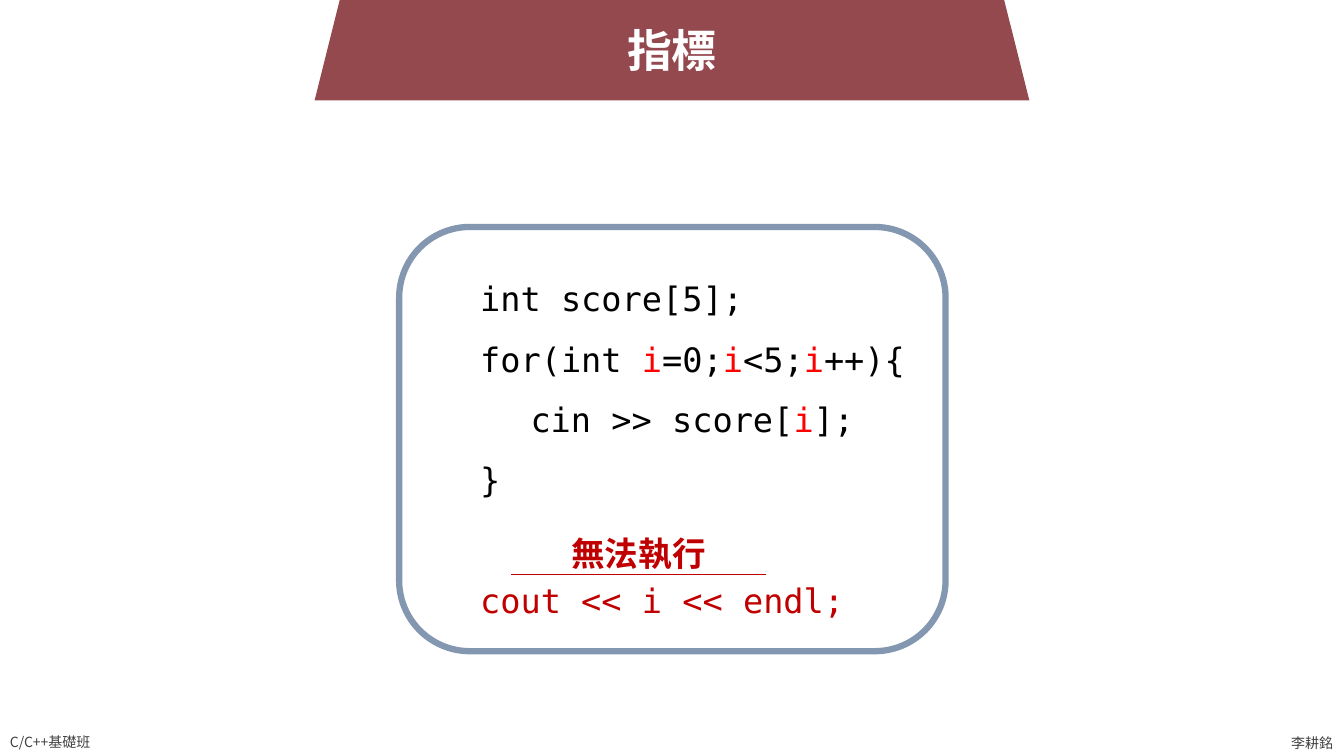
import dataclasses

import lxml.etree
import pptx
import pptx.dml.color
import pptx.enum.shapes
import pptx.enum.text
import pptx.oxml.ns
import pptx.util

Cm = pptx.util.Cm
Pt = pptx.util.Pt
Shapes = pptx.enum.shapes.MSO_SHAPE
Align = pptx.enum.text.PP_ALIGN
Anchor = pptx.enum.text.MSO_ANCHOR


@dataclasses.dataclass(frozen=True)
class Theme:
    text_font: str = "Noto Sans CJK TC"
    code_font: str = "DejaVu Sans Mono"
    title_size: int = 32
    code_size: int = 24
    footer_size: int = 10
    banner: str = "94494E"
    frame: str = "8497B0"
    white: str = "FFFFFF"
    black: str = "000000"
    footer: str = "404040"
    variable: str = "FF0000"
    error: str = "C00000"


def rgb(color):
    return pptx.dml.color.RGBColor.from_string(color)


class SlideBuilder:
    def __init__(self, slide, theme):
        self.slide = slide
        self.theme = theme

    def run(self, paragraph, text, size, color, font, bold=False):
        run = paragraph.add_run()
        run.text = text
        run.font.size = Pt(size)
        run.font.bold = bold
        run.font.name = font
        run.font.color.rgb = rgb(color)
        properties = run._r.get_or_add_rPr()
        east_asian = lxml.etree.SubElement(properties, pptx.oxml.ns.qn("a:ea"))
        east_asian.set("typeface", font)

    def text(self, box, text, size, color, bold=False, align=Align.LEFT,
             anchor=Anchor.TOP, wrap=False):
        shape = self.slide.shapes.add_textbox(*map(Cm, box))
        frame = shape.text_frame
        frame.word_wrap = wrap
        frame.vertical_anchor = anchor
        paragraph = frame.paragraphs[0]
        paragraph.alignment = align
        self.run(paragraph, text, size, color, self.theme.text_font, bold)

    def shape(self, kind, box, fill, line=None, width=0):
        shape = self.slide.shapes.add_shape(kind, *map(Cm, box))
        shape.shadow.inherit = False
        shape.fill.solid()
        shape.fill.fore_color.rgb = rgb(fill)
        if line:
            shape.line.color.rgb = rgb(line)
            shape.line.width = Pt(width)
        else:
            shape.line.fill.background()
        return shape

    def code(self, shape, lines):
        frame = shape.text_frame
        frame.word_wrap = True
        frame.vertical_anchor = Anchor.MIDDLE
        for number, (gap, runs) in enumerate(lines):
            paragraph = frame.add_paragraph() if number else frame.paragraphs[0]
            paragraph.alignment = Align.LEFT
            paragraph.line_spacing = 1.5
            paragraph.space_before = Pt(gap)
            properties = paragraph._p.get_or_add_pPr()
            properties.set("marL", str(Cm(1.27)))
            properties.set("indent", "0")
            for text, color in runs:
                self.run(paragraph, text, self.theme.code_size, color,
                         self.theme.code_font)

    def line(self, start, end, color, width):
        connector = self.slide.shapes.add_connector(
            pptx.enum.shapes.MSO_CONNECTOR.STRAIGHT, *map(Cm, start + end))
        connector.line.color.rgb = rgb(color)
        connector.line.width = Pt(width)
        lxml.etree.SubElement(connector._element.spPr,
                              pptx.oxml.ns.qn("a:effectLst"))


def main():
    presentation = pptx.Presentation()
    presentation.slide_width = Cm(33.87)
    presentation.slide_height = Cm(19.05)
    slide = presentation.slides.add_slide(presentation.slide_layouts[6])
    theme = Theme()
    builder = SlideBuilder(slide, theme)

    builder.text((0, 18.37, 2.72, 0.68), "C/C++基礎班",
                 theme.footer_size, theme.footer)
    builder.text((32.29, 18.37, 1.58, 0.68), "李耕銘",
                 theme.footer_size, theme.footer, anchor=Anchor.MIDDLE)

    builder.shape(Shapes.TRAPEZOID, (7.93, -0.58, 18.01, 3.11), theme.banner)
    builder.text((15.54, 0.46, 2.79, 1.62), "指標", theme.title_size,
                 theme.white, bold=True, align=Align.CENTER)

    frame = builder.shape(Shapes.ROUNDED_RECTANGLE, (10.06, 5.72, 13.77, 10.69),
                          theme.white, theme.frame, 4.5)
    plain, variable = theme.black, ("i", theme.variable)
    builder.code(frame, [
        (0, [("int score[5];", plain)]),
        (0, [("for(int ", plain), variable, ("=0;", plain), variable,
             ("<5;", plain), variable, ("++){", plain)]),
        (0, [("\tcin >> score[", plain), variable, ("];", plain)]),
        (0, [("}", plain)]),
        (43, [("cout << i << endl;", theme.error)]),
    ])

    builder.text((13.36, 13.18, 5.46, 1.5), "無法執行", theme.code_size,
                 theme.error, bold=True, align=Align.CENTER,
                 anchor=Anchor.MIDDLE, wrap=True)
    builder.line((12.88, 14.48), (19.3, 14.48), theme.error, 1)

    presentation.save("out.pptx")


if __name__ == "__main__":
    main()
